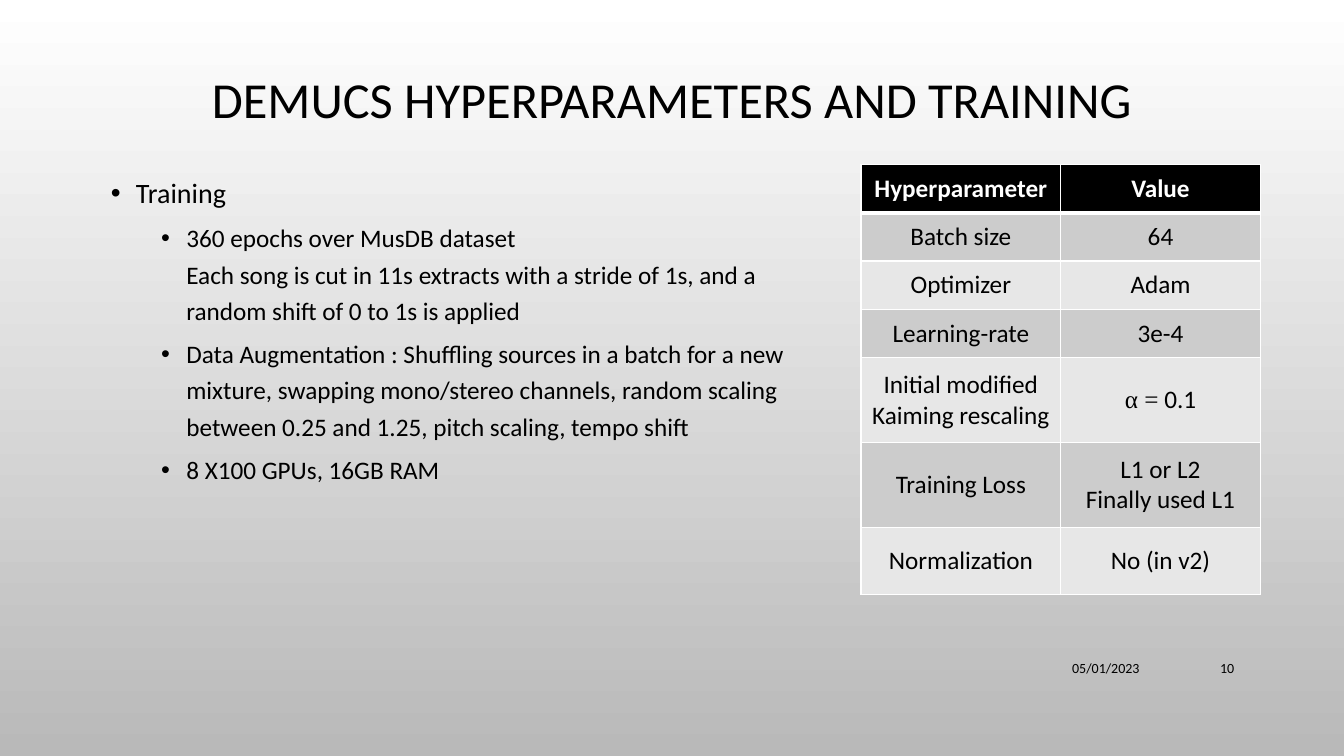
from lxml import etree
from pptx import Presentation
from pptx.dml.color import RGBColor
from pptx.enum.text import MSO_ANCHOR, PP_ALIGN
from pptx.oxml.ns import qn
from pptx.util import Inches, Pt

CENTER, RIGHT = PP_ALIGN.CENTER, PP_ALIGN.RIGHT
MIDDLE = MSO_ANCHOR.MIDDLE
BLACK, WHITE = "000000", "FFFFFF"
DARK_BAND, LIGHT_BAND = "CCCCCC", "E7E7E7"

TRAINING = [
    (0, "Training"),
    (1, "360 epochs over MusDB dataset\vEach song is cut in 11s extracts with a "
        "stride of 1s, and a random shift of 0 to 1s is applied"),
    (1, "Data Augmentation : Shuffling sources in a batch for a new mixture, "
        "swapping mono/stereo channels, random scaling between 0.25 and 1.25, "
        "pitch scaling, tempo shift"),
    (1, "8 X100 GPUs, 16GB RAM"),
]
HYPERPARAMETERS = [
    (0.48, "Hyperparameter", "Value"),
    (0.48, "Batch size", "64"),
    (0.48, "Optimizer", "Adam"),
    (0.48, "Learning-rate", "3e-4"),
    (0.84, "Initial modified Kaiming rescaling", [("α =", "Times New Roman"), (" 0.1", "Calibri")]),
    (0.84, "Training Loss", "L1 or L2\nFinally used L1"),
    (0.67, "Normalization", "No (in v2)"),
]


def rgb(value):
    return RGBColor.from_string(value)


class SlideBuilder:
    """Holds the text style and the slide being filled."""

    font_name = "Calibri"

    def __init__(self, slide):
        self.slide = slide

    def style(self, paragraph, size, color=BLACK, bold=False, align=None):
        font = paragraph.font
        font.name, font.size, font.bold = self.font_name, Pt(size), bold
        font.color.rgb = rgb(color)
        paragraph.alignment = align

    def background(self, top, bottom):
        fill = self.slide.background.fill
        fill.gradient()
        fill.gradient_angle = 270
        for stop, color, position in zip(fill.gradient_stops, (top, bottom), (0, 1)):
            stop.color.rgb = rgb(color)
            stop.position = position

    def title(self, text, left, top, width, height):
        title = self.slide.shapes.title
        title.left, title.top = Inches(left), Inches(top)
        title.width, title.height = Inches(width), Inches(height)
        title.text_frame.text = text
        title.text_frame.vertical_anchor = MIDDLE
        heading = title.text_frame.paragraphs[0]
        heading.line_spacing = 0.9
        self.style(heading, 36, align=CENTER)

    def text_frame(self, left, top, width, height):
        box = self.slide.shapes.add_textbox(
            Inches(left), Inches(top), Inches(width), Inches(height))
        box.text_frame.word_wrap = True
        return box.text_frame

    def bullets(self, items, left, top, width, height):
        frame = self.text_frame(left, top, width, height)
        for index, (level, text) in enumerate(items):
            item = frame.add_paragraph() if index else frame.paragraphs[0]
            item.text = text
            item.level = level
            self.bullet(item, 0.25 + 0.5 * level)
            item.line_spacing = 1.2
            item.space_before = Pt(5 if level else 10)
            self.style(item, 18 if level else 20)

    def bullet(self, paragraph, indent):
        properties = paragraph._p.get_or_add_pPr()
        properties.set("marL", str(Inches(indent)))
        properties.set("indent", str(Inches(-0.25)))
        color = etree.SubElement(properties, qn("a:buClr"))
        etree.SubElement(color, qn("a:srgbClr"), val=BLACK)
        etree.SubElement(properties, qn("a:buFont"), typeface="Arial")
        etree.SubElement(properties, qn("a:buChar"), char="•")

    def footer(self, text, left, width):
        frame = self.text_frame(left, 6.43, width, 0.4)
        frame.text = text
        frame.vertical_anchor = MIDDLE
        self.style(frame.paragraphs[0], 10, align=RIGHT)

    def table(self, rows, left, top, column_width):
        """Each row is its height followed by its cell contents."""
        columns = len(rows[0]) - 1
        table = self.slide.shapes.add_table(
            len(rows), columns, Inches(left), Inches(top),
            Inches(column_width * columns), Inches(sum(row[0] for row in rows))).table
        for column in table.columns:
            column.width = Inches(column_width)
        for index, (height, *contents) in enumerate(rows):
            table.rows[index].height = Inches(height)
            for column, content in enumerate(contents):
                self.cell(table.cell(index, column), content, index)

    def cell(self, cell, content, row):
        header = row == 0
        if isinstance(content, str):
            cell.text = content
        else:
            for text, font_name in content:
                run = cell.text_frame.paragraphs[0].add_run()
                run.text, run.font.name = text, font_name
        for paragraph in cell.text_frame.paragraphs:
            self.style(paragraph, 18, WHITE if header else BLACK, header, CENTER)
        cell.vertical_anchor = MIDDLE
        self.borders(cell, top=3 if row == 1 else 1, bottom=3 if header else 1)
        cell.fill.solid()
        cell.fill.fore_color.rgb = rgb(
            BLACK if header else DARK_BAND if row % 2 else LIGHT_BAND)

    def borders(self, cell, top, bottom):
        properties = cell._tc.get_or_add_tcPr()
        for side, width in (("L", 1), ("R", 1), ("T", top), ("B", bottom)):
            line = etree.SubElement(properties, qn("a:ln" + side), w=str(Pt(width)))
            fill = etree.SubElement(line, qn("a:solidFill"))
            etree.SubElement(fill, qn("a:srgbClr"), val=WHITE)


def main():
    presentation = Presentation()
    presentation.slide_width, presentation.slide_height = Inches(13.33), Inches(7.5)
    title_only = presentation.slide_layouts[5]
    builder = SlideBuilder(presentation.slides.add_slide(title_only))
    builder.background(WHITE, "B9B9B9")
    builder.title("DEMUCS HYPERPARAMETERS AND TRAINING", 1, 0.68, 11.33, 0.66)
    builder.bullets(TRAINING, 1, 1.63, 7.11, 4.29)
    builder.table(HYPERPARAMETERS, 8.54, 1.63, 1.98)
    builder.footer("05/01/2023", 8.4, 3)
    builder.footer("10", 11.5, 0.84)
    presentation.save("out.pptx")


if __name__ == "__main__":
    main()
